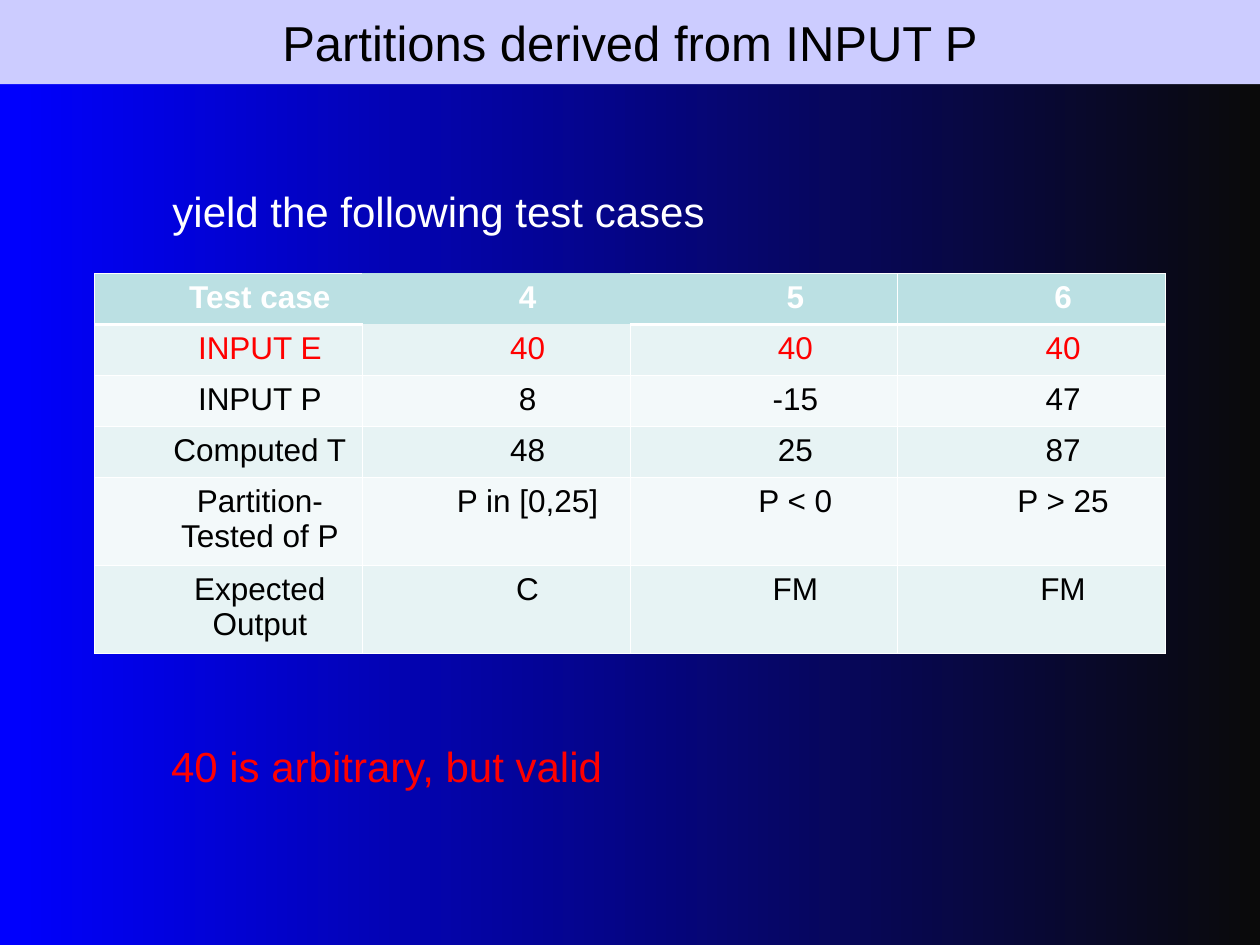
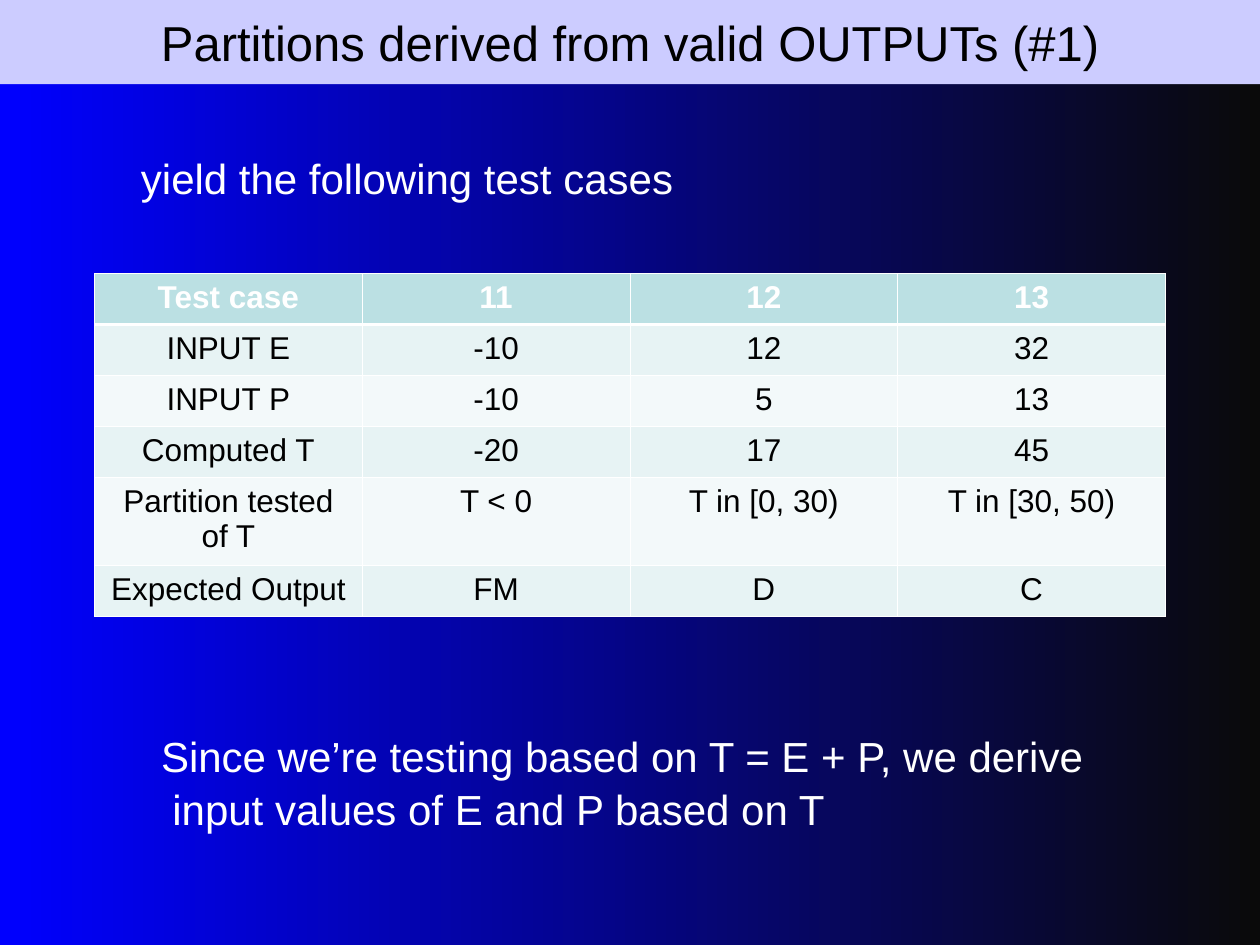
import pptx
import pptx.util
import pptx.dml.color
import pptx.enum.text
import pptx.oxml
import pptx.oxml.ns

FONT = "Arial"
BLUE = pptx.dml.color.RGBColor(0x00, 0x00, 0xFF)
NEAR_BLACK = pptx.dml.color.RGBColor(0x0A, 0x0A, 0x0A)
LAVENDER = pptx.dml.color.RGBColor(0xCC, 0xCC, 0xFF)
BLACK = pptx.dml.color.RGBColor(0x00, 0x00, 0x00)
WHITE = pptx.dml.color.RGBColor(0xFF, 0xFF, 0xFF)
RED = pptx.dml.color.RGBColor(0xFF, 0x00, 0x00)
HEADER_FILL = pptx.dml.color.RGBColor(0xBB, 0xE0, 0xE3)
BAND_FILLS = [pptx.dml.color.RGBColor(0xF3, 0xF9, 0xFA),
              pptx.dml.color.RGBColor(0xE7, 0xF3, 0xF4)]
CENTER = pptx.enum.text.PP_ALIGN.CENTER
LEFT = pptx.enum.text.PP_ALIGN.LEFT
PLAIN_TABLE_STYLE = "{2D5ABB26-0587-4C30-8999-92F81FD0307C}"
THIN, THICK = 0.45, 1.47

presentation = pptx.Presentation()
presentation.slide_width = pptx.util.Inches(10)
presentation.slide_height = pptx.util.Inches(7.5)

# Grid of 40 columns and 30 rows
COLUMN = presentation.slide_width / 40
ROW = presentation.slide_height / 30
SINGLE_ROW, DOUBLE_ROW = 1.62, 2.8


def write(paragraph, text, size=24, color=WHITE, bold=False, align=LEFT, indent=0):
    properties = paragraph._p.get_or_add_pPr()
    properties.set("marL", str(pptx.util.Inches(indent)))
    properties.set("indent", "0")
    paragraph.alignment = align
    run = paragraph.add_run()
    run.text = text
    run.font.name = FONT
    run.font.size = pptx.util.Pt(size)
    run.font.color.rgb = color
    run.font.bold = bold


def set_border(cell, side, points):
    line = pptx.oxml.parse_xml(
        f'<a:{side} {pptx.oxml.ns.nsdecls("a")} w="{pptx.util.Pt(points)}">'
        f'<a:solidFill><a:srgbClr val="{WHITE}"/></a:solidFill></a:{side}>')
    cell._tc.get_or_add_tcPr().append(line)


# Shared layout: gradient background and title band
layout = presentation.slide_layouts.get_by_name("Title Only")
background = layout.background.fill
background.gradient()
background.gradient_angle = 0
for stop, color in zip(background.gradient_stops, (BLUE, NEAR_BLACK)):
    stop.color.rgb = color
band = layout.placeholders[0]
band.left, band.top = 0, 0
band.width, band.height = presentation.slide_width, int(2.67 * ROW)
band.fill.solid()
band.fill.fore_color.rgb = LAVENDER

# Notes: left column, top row, width, height, colour, lines with their indents
slides = [
    {
        "title": "Partitions derived from INPUT P",
        "rows": [
            ["Test case", "4", "5", "6"],
            ["INPUT E", "40", "40", "40"],
            ["INPUT P", "8", "-15", "47"],
            ["Computed T", "48", "25", "87"],
            ["Partition-Tested of P", "P in [0,25]", "P < 0", "P > 25"],
            ["Expected Output", "C", "FM", "FM"],
        ],
        "double_rows": (4, 5),
        "red_rows": (1,),
        "cell_indent": 0.5,
        "borderless_cell": (0, 1),
        "notes": [
            (5.04, 23.32, 15.32, 2, RED, [("40 is arbitrary, but valid", 0)]),
            (5.08, 5.68, 18.04, 2, WHITE, [("yield the following test cases", 0)]),
        ],
    },
    {
        "title": "Partitions derived from valid OUTPUTs (#1)",
        "rows": [
            ["Test case", "11", "12", "13"],
            ["INPUT E", "-10", "12", "32"],
            ["INPUT P", "-10", "5", "13"],
            ["Computed T", "-20", "17", "45"],
            ["Partition tested of T", "T < 0", "T in [0, 30)", "T in [30, 50)"],
            ["Expected Output", "FM", "D", "C"],
        ],
        "double_rows": (4,),
        "red_rows": (),
        "cell_indent": 0,
        "borderless_cell": None,
        "notes": [
            (4.08, 4.64, 18.04, 2, WHITE, [("yield the following test cases", 0)]),
            (4.72, 23, 30.28, 3.6, WHITE,
             [("Since we’re testing based on T = E + P, we derive", 0),
              ("input values of E and P based on T", 0.09)]),
        ],
    },
]

for content in slides:
    slide = presentation.slides.add_slide(layout)

    # Title
    title_frame = slide.shapes.title.text_frame
    title_frame.auto_size = pptx.enum.text.MSO_AUTO_SIZE.NONE
    title_frame.vertical_anchor = pptx.enum.text.MSO_ANCHOR.MIDDLE
    write(title_frame.paragraphs[0], content["title"], size=28, color=BLACK, align=CENTER)

    # Table of test cases
    rows = content["rows"]
    heights = [DOUBLE_ROW if number in content["double_rows"] else SINGLE_ROW
               for number in range(len(rows))]
    frame = slide.shapes.add_table(len(rows), len(rows[0]), int(3 * COLUMN), int(8.68 * ROW),
                                   int(34 * COLUMN), int(sum(heights) * ROW))
    table = frame.table
    table._tbl.tblPr.find(pptx.oxml.ns.qn("a:tableStyleId")).text = PLAIN_TABLE_STYLE
    for row_number, values in enumerate(rows):
        table.rows[row_number].height = int(heights[row_number] * ROW)
        is_header = row_number == 0
        if is_header:
            text_color, fill_color = WHITE, HEADER_FILL
        else:
            text_color = RED if row_number in content["red_rows"] else BLACK
            fill_color = BAND_FILLS[row_number % 2]
        for column_number, value in enumerate(values):
            cell = table.cell(row_number, column_number)
            write(cell.text_frame.paragraphs[0], value, size=18, color=text_color,
                  bold=is_header, align=CENTER, indent=content["cell_indent"])
            # Each side with its neighbour; the line under the header is thicker
            position = (row_number, column_number)
            sides = [
                ("lnL", (row_number, column_number - 1), THIN),
                ("lnR", (row_number, column_number + 1), THIN),
                ("lnT", (row_number - 1, column_number), THICK if row_number == 1 else THIN),
                ("lnB", (row_number + 1, column_number), THICK if is_header else THIN),
            ]
            for side, neighbour, points in sides:
                if content["borderless_cell"] not in (position, neighbour):
                    set_border(cell, side, points)
            cell.fill.solid()
            cell.fill.fore_color.rgb = fill_color

    # Notes around the table
    for left, top, width, height, color, lines in content["notes"]:
        box = slide.shapes.add_textbox(int(left * COLUMN), int(top * ROW),
                                       int(width * COLUMN), int(height * ROW))
        box.text_frame.word_wrap = True
        for line_number, (text, indent) in enumerate(lines):
            if line_number == 0:
                paragraph = box.text_frame.paragraphs[0]
            else:
                paragraph = box.text_frame.add_paragraph()
                paragraph.space_before = pptx.util.Pt(1.5)
            write(paragraph, text, color=color, indent=indent)

presentation.save("out.pptx")
